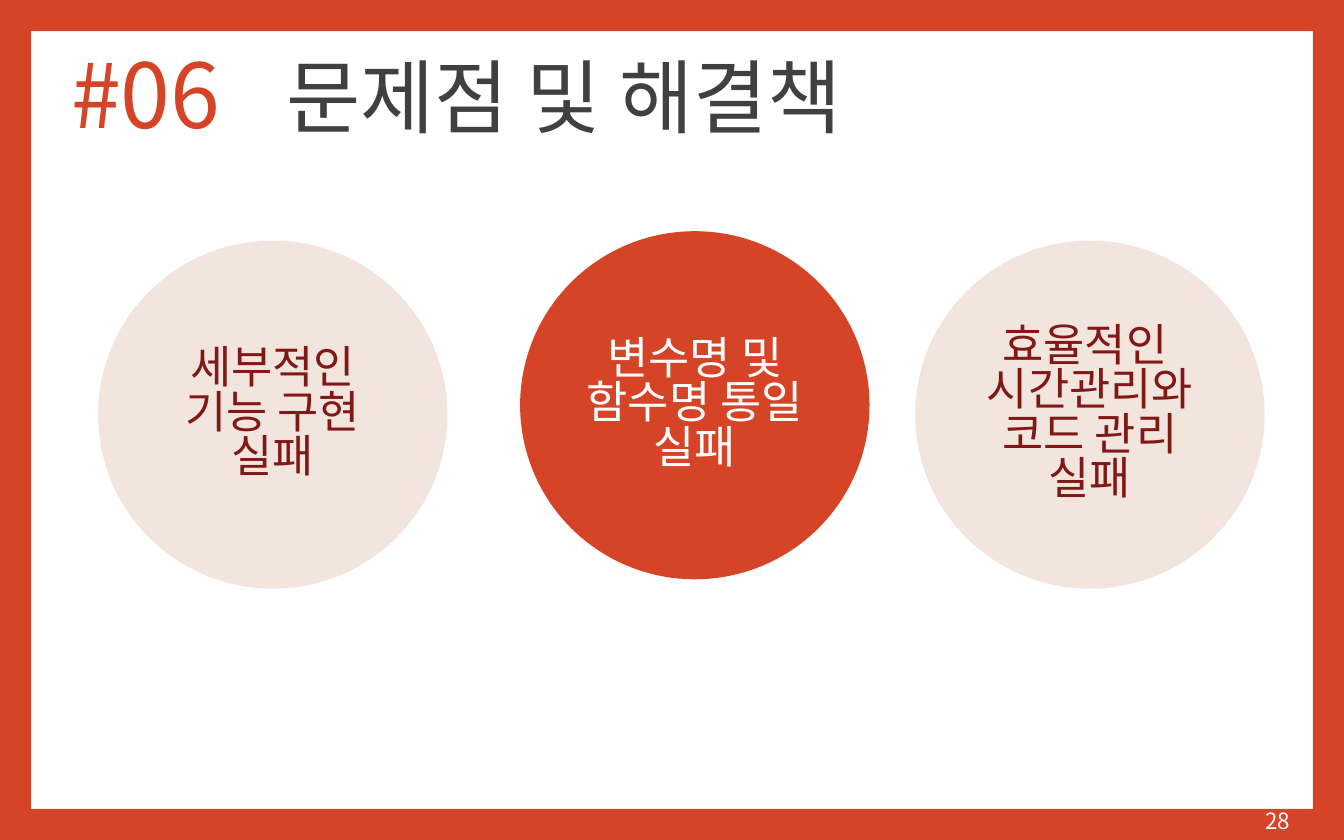
from dataclasses import dataclass

from lxml.etree import SubElement
from pptx import Presentation
from pptx.dml.color import RGBColor
from pptx.enum.shapes import MSO_SHAPE
from pptx.enum.text import MSO_ANCHOR, MSO_AUTO_SIZE, PP_ALIGN
from pptx.oxml.ns import qn
from pptx.util import Pt

PX = 9144  # 100 px to the inch


@dataclass(frozen=True)
class Theme:
    font: str = "Noto Sans CJK KR"
    red: str = "D64427"
    sand: str = "F2E5DD"
    wine: str = "811716"
    dark: str = "404040"
    white: str = "FFFFFF"
    head: float = 43.2
    mark: float = 48
    body: float = 24
    foot: float = 12


THEME = Theme()


def scale(*box):
    return [n * PX for n in box]


def write(shape, lines, size, color, align=PP_ALIGN.LEFT,
          anchor=MSO_ANCHOR.MIDDLE, gap=1.0):
    """Fill a shape with one paragraph per line."""
    frame = shape.text_frame
    frame.word_wrap = True
    frame.auto_size = MSO_AUTO_SIZE.NONE
    frame.vertical_anchor = anchor
    for i, line in enumerate(lines):
        para = frame.add_paragraph() if i else frame.paragraphs[0]
        para.alignment = align
        para.line_spacing = gap
        run = para.add_run()
        run.text = line
        run.font.size = Pt(size)
        run.font.name = THEME.font
        run.font.color.rgb = RGBColor.from_string(color)
        SubElement(run._r.get_or_add_rPr(), qn("a:ea"), typeface=THEME.font)


def draw(slide, kind, box, fill):
    shape = slide.shapes.add_shape(kind, *scale(*box))
    shape.shadow.inherit = False
    shape.fill.solid()
    shape.fill.fore_color.rgb = RGBColor.from_string(fill)
    shape.line.fill.background()
    return shape


def border(slide, box):
    shape = draw(slide, MSO_SHAPE.FRAME, box, THEME.red)
    shape.adjustments[0] = 0.037


def header(slide, box, mark, text):
    x, y, w, h = box
    title = slide.shapes.title
    title.left, title.top, title.width, title.height = scale(
        x + 160, y + 8, w - 160, h - 9)
    write(title, [text], THEME.head, THEME.dark, gap=0.9)
    label = slide.shapes.add_textbox(*scale(x, y, 175, h))
    write(label, [mark], THEME.mark, THEME.red,
          anchor=MSO_ANCHOR.TOP, gap=0.9)


def circles(slide, box, items):
    """Set three discs across the box, the middle one raised and red."""
    x, y, w, h = box
    wide, lift = 260, 7
    lefts = (x, x + 314, x + w - wide)
    for i, (left, lines) in enumerate(zip(lefts, items)):
        mid = i == 1
        top = y if mid else y + lift
        disc = draw(slide, MSO_SHAPE.OVAL, (left, top, wide, h - lift),
                    THEME.red if mid else THEME.sand)
        write(disc, lines, THEME.body, THEME.white if mid else THEME.wine,
              align=PP_ALIGN.CENTER, gap=0.83)


def footer(slide, box, number):
    label = slide.shapes.add_textbox(*scale(*box))
    write(label, [number], THEME.foot, THEME.white, align=PP_ALIGN.RIGHT)


def main():
    deck = Presentation()
    deck.slide_width, deck.slide_height = scale(1000, 625)
    slide = deck.slides.add_slide(deck.slide_layouts[5])
    border(slide, (0, 0, 1000, 625))
    header(slide, (43, 33, 676, 78), "#06", "문제점 및 해결책")
    circles(slide, (73, 172, 868, 266), [
        ["세부적인", "기능 구현", "실패"],
        ["변수명 및 함수명 통일 실패"],
        ["효율적인 ", "시간관리와 코드 관리 실패"],
    ])
    footer(slide, (737, 594, 233, 33), "28")
    deck.save("out.pptx")


if __name__ == "__main__":
    main()
